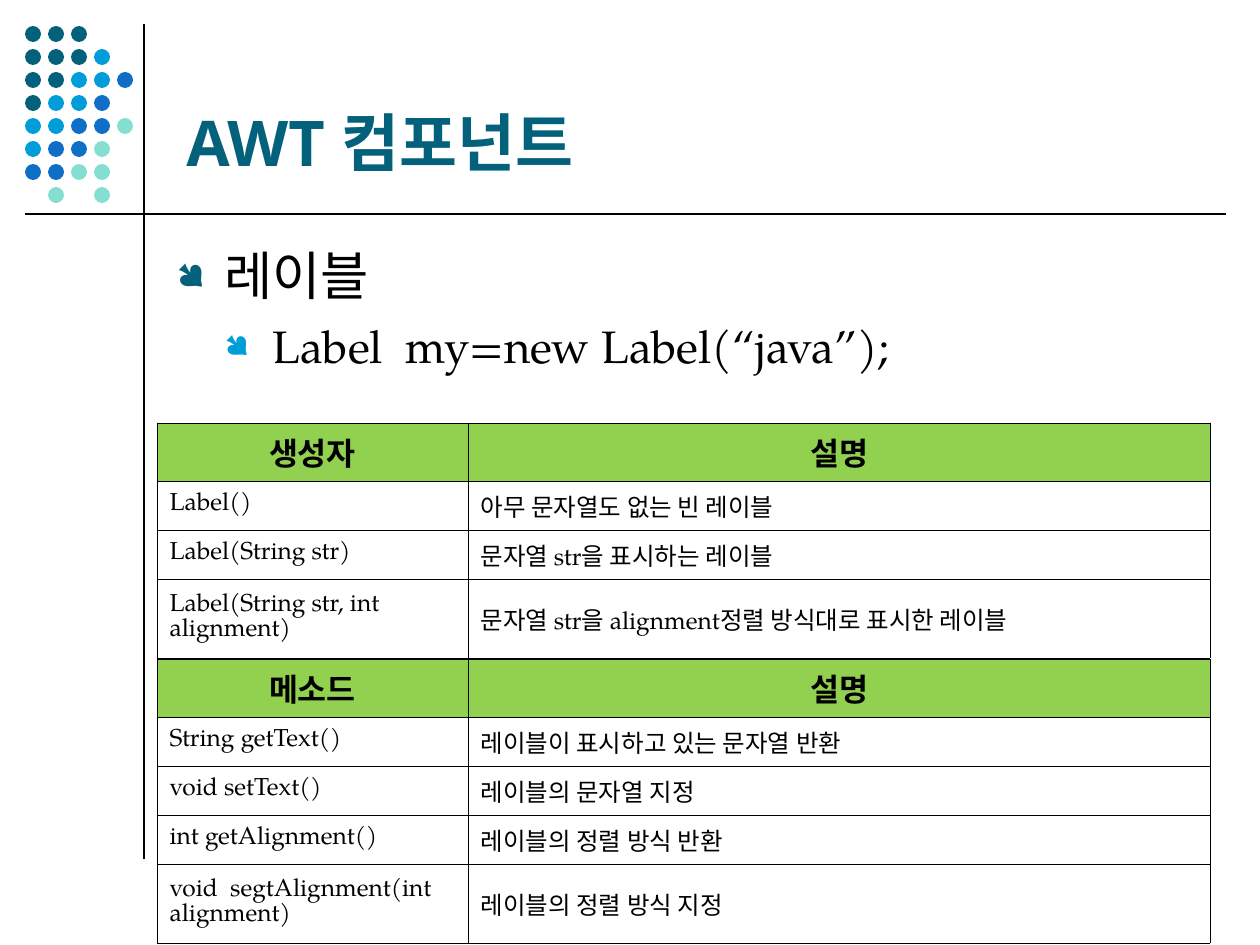
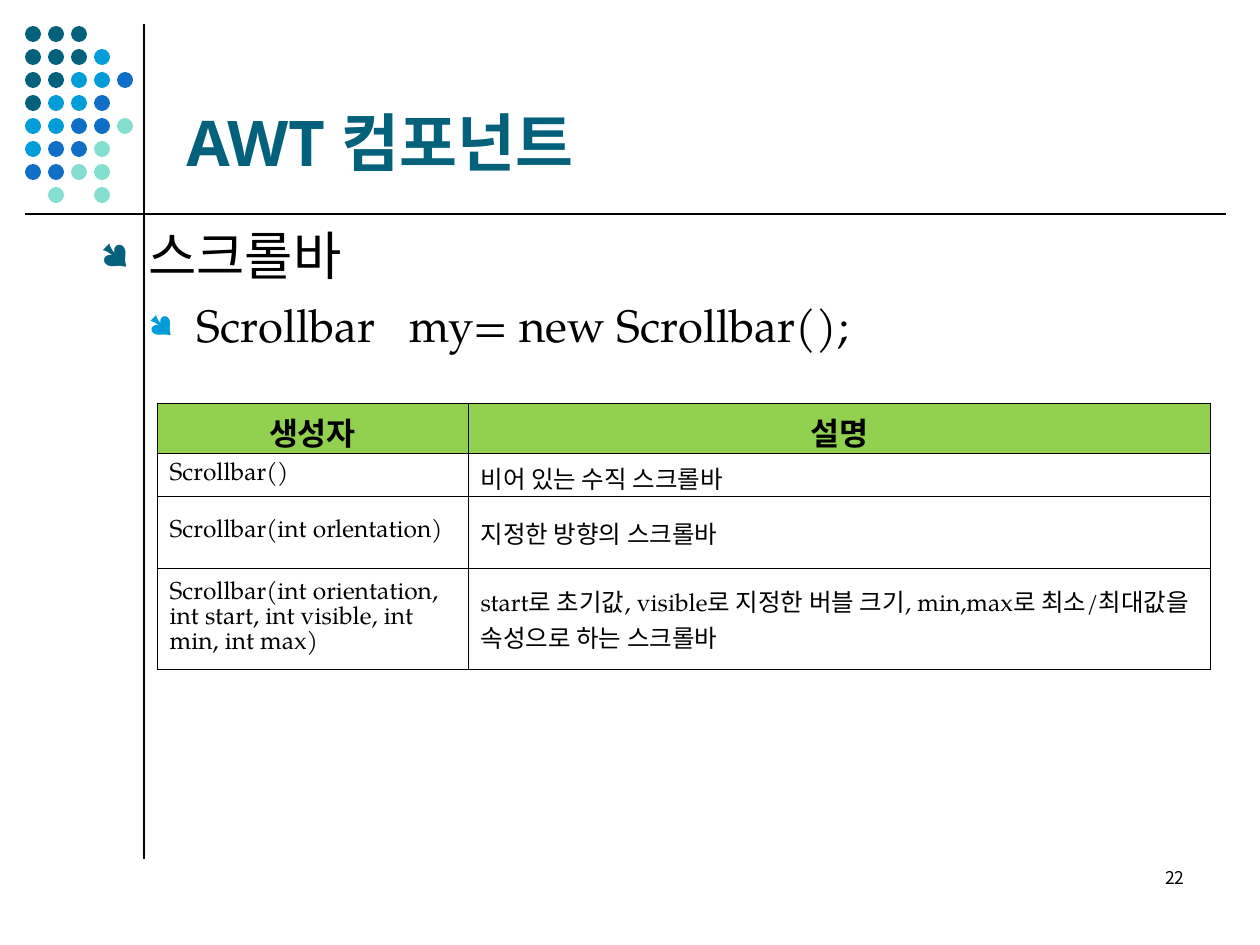
"""Two lecture slides on AWT components: labels and scrollbars."""
from lxml import etree
from pptx import Presentation, util as u
from pptx.dml.color import RGBColor
from pptx.enum import shapes as s, text as t
from pptx.oxml import ns

INK = RGBColor(0x00, 0x00, 0x00)
WHITE = RGBColor(0xFF, 0xFF, 0xFF)
TEAL = RGBColor(0x04, 0x61, 0x7B)
SKY = RGBColor(0x00, 0x9D, 0xD9)
BLUE = RGBColor(0x0F, 0x6F, 0xC6)
MINT = RGBColor(0x85, 0xDF, 0xD0)
GREEN = RGBColor(0x92, 0xD0, 0x50)

HEADING_FONT, BODY_FONT, KOREAN_FONT = "Noto Sans", "TeX Gyre Pagella", "Noto Sans CJK KR"

TITLE = "AWT 컴포넌트"
DOT_ROWS = ["TTT", "TTTS", "TTSSB", "TSSB", "SSBBM", "SBBM", "BBMM", " M M"]
DOT_COLORS = {"T": TEAL, "S": SKY, "B": BLUE, "M": MINT}
DOT_LEFT, DOT_TOP, DOT_STEP, DOT_SIZE = 25, 26, 23, 16
RULES = [(144, 24, 144, 859), (25, 214, 1226, 214)]
TABLE_LEFT, COLUMN_WIDTHS = 157, (311, 742)
OUTLINE_LEVELS = [(30, TEAL, 0), (26, SKY, 6.5)]
OUTLINE_INDENT = 48

SLIDES = [
    {
        "outline": ["레이블", "Label  my=new Label(“java”);"],
        "outline_box": (164, 237, 1033, 607),
        "tables": [
            (423, (58, 49, 49, 79), [
                ("생성자", "설명"),
                ("Label()", "아무 문자열도 없는 빈 레이블"),
                ("Label(String str)", "문자열 str을 표시하는 레이블"),
                ("Label(String str, int alignment)",
                 "문자열 str을 alignment정렬 방식대로 표시한 레이블"),
            ]),
            (659, (58, 49, 49, 49, 79), [
                ("메소드", "설명"),
                ("String getText()", "레이블이 표시하고 있는 문자열 반환"),
                ("void setText()", "레이블의 문자열 지정"),
                ("int getAlignment()", "레이블의 정렬 방식 반환"),
                ("void  segtAlignment(int alignment)", "레이블의 정렬 방식 지정"),
            ]),
        ],
    },
    {
        "outline": ["스크롤바", "Scrollbar   my= new Scrollbar();"],
        "outline_box": (88, 217, 1172, 607),
        "tables": [
            (403, (50, 43, 72, 101), [
                ("생성자", "설명"),
                ("Scrollbar()", "비어 있는 수직 스크롤바"),
                ("Scrollbar(int orlentation)", "지정한 방향의 스크롤바"),
                ("Scrollbar(int orientation, int start, int visible, int min, int max)",
                 "start로 초기값, visible로 지정한 버블 크기, "
                 "min,max로 최소/최대값을 속성으로 하는 스크롤바"),
            ]),
        ],
        "number": "22",
    },
]


def px(*lengths):
    return [u.Emu(round(length * 914400 / 126)) for length in lengths]


def sub(parent, tag, **attributes):
    return etree.SubElement(parent, ns.qn(tag), attributes)


def style(paragraph, size, font=BODY_FONT, color=INK, bold=False, align=t.PP_ALIGN.LEFT):
    paragraph.alignment = align
    paragraph.font.size = u.Pt(size)
    paragraph.font.bold = bold
    paragraph.font.color.rgb = color
    paragraph.font.name = font
    sub(paragraph._p.pPr.find(ns.qn("a:defRPr")), "a:ea", typeface=KOREAN_FONT)


def add_text(slide, box, anchor=t.MSO_ANCHOR.TOP):
    frame = slide.shapes.add_textbox(*px(*box)).text_frame
    frame.word_wrap = True
    frame.vertical_anchor = anchor
    return frame


def add_line_of_text(slide, box, words, anchor=t.MSO_ANCHOR.TOP, **look):
    paragraph = add_text(slide, box, anchor).paragraphs[0]
    paragraph.text = words
    style(paragraph, **look)


def add_decor(slide):
    for ends in RULES:
        rule = slide.shapes.add_connector(s.MSO_CONNECTOR.STRAIGHT, *px(*ends))
        rule.line.color.rgb = INK
        rule.line.width = u.Pt(0.75)
        sub(rule._element.spPr, "a:effectLst")
    dots = slide.shapes.add_group_shape()
    for row, codes in enumerate(DOT_ROWS):
        for column, code in enumerate(codes):
            if code in DOT_COLORS:
                dot = dots.shapes.add_shape(s.MSO_SHAPE.OVAL, *px(
                    DOT_LEFT + column * DOT_STEP, DOT_TOP + row * DOT_STEP, DOT_SIZE, DOT_SIZE))
                dot.shadow.inherit = False
                dot.fill.solid()
                dot.fill.fore_color.rgb = DOT_COLORS[code]
                dot.line.fill.background()


def add_outline(slide, box, lines):
    frame = add_text(slide, box)
    for level, (line, (size, color, before)) in enumerate(zip(lines, OUTLINE_LEVELS)):
        paragraph = frame.add_paragraph() if level else frame.paragraphs[0]
        paragraph.text = line
        paragraph.level = level
        if before:
            paragraph.space_before = u.Pt(before)
        properties = paragraph._p.get_or_add_pPr()
        margin, hanging = px(OUTLINE_INDENT * (level + 1), -OUTLINE_INDENT)
        properties.set("marL", str(margin))
        properties.set("indent", str(hanging))
        sub(sub(properties, "a:buClr"), "a:srgbClr", val=str(color))
        sub(properties, "a:buSzPct", val="70000")
        sub(properties, "a:buFont", typeface="Wingdings")
        sub(properties, "a:buChar", char="●")
        style(paragraph, size)


def fill_cell(cell, words, is_header):
    cell.text = words
    cell.vertical_anchor = t.MSO_ANCHOR.MIDDLE
    properties = cell._tc.get_or_add_tcPr()
    for side in ("a:lnL", "a:lnR", "a:lnT", "a:lnB"):
        border = sub(properties, side, w=str(u.Pt(0.45)))
        sub(sub(border, "a:solidFill"), "a:srgbClr", val=str(INK))
    cell.fill.solid()
    cell.fill.fore_color.rgb = GREEN if is_header else WHITE
    style(cell.text_frame.paragraphs[0], 18 if is_header else 14, bold=is_header,
          align=t.PP_ALIGN.CENTER if is_header else t.PP_ALIGN.LEFT)


def add_reference(slide, top, heights, entries):
    box = px(TABLE_LEFT, top, sum(COLUMN_WIDTHS), sum(heights))
    table = slide.shapes.add_table(len(entries), len(COLUMN_WIDTHS), *box).table
    table.first_row = table.horz_banding = False
    for column, width in zip(table.columns, px(*COLUMN_WIDTHS)):
        column.width = width
    for index, (row, height, entry) in enumerate(zip(table.rows, px(*heights), entries)):
        row.height = height
        for cell, words in zip(row.cells, entry):
            fill_cell(cell, words, index == 0)


def main():
    deck = Presentation()
    deck.slide_width, deck.slide_height = px(1260, 945)
    for content in SLIDES:
        slide = deck.slides.add_slide(deck.slide_layouts[6])
        add_decor(slide)
        add_line_of_text(slide, (174, 26, 1040, 159), TITLE, t.MSO_ANCHOR.BOTTOM,
                         size=36, font=HEADING_FONT, color=TEAL, bold=True)
        add_outline(slide, content["outline_box"], content["outline"])
        for reference in content["tables"]:
            add_reference(slide, *reference)
        if "number" in content:
            add_line_of_text(slide, (903, 861, 294, 63), content["number"],
                             size=10, font=KOREAN_FONT, align=t.PP_ALIGN.RIGHT)
    deck.save("out.pptx")


if __name__ == "__main__":
    main()
